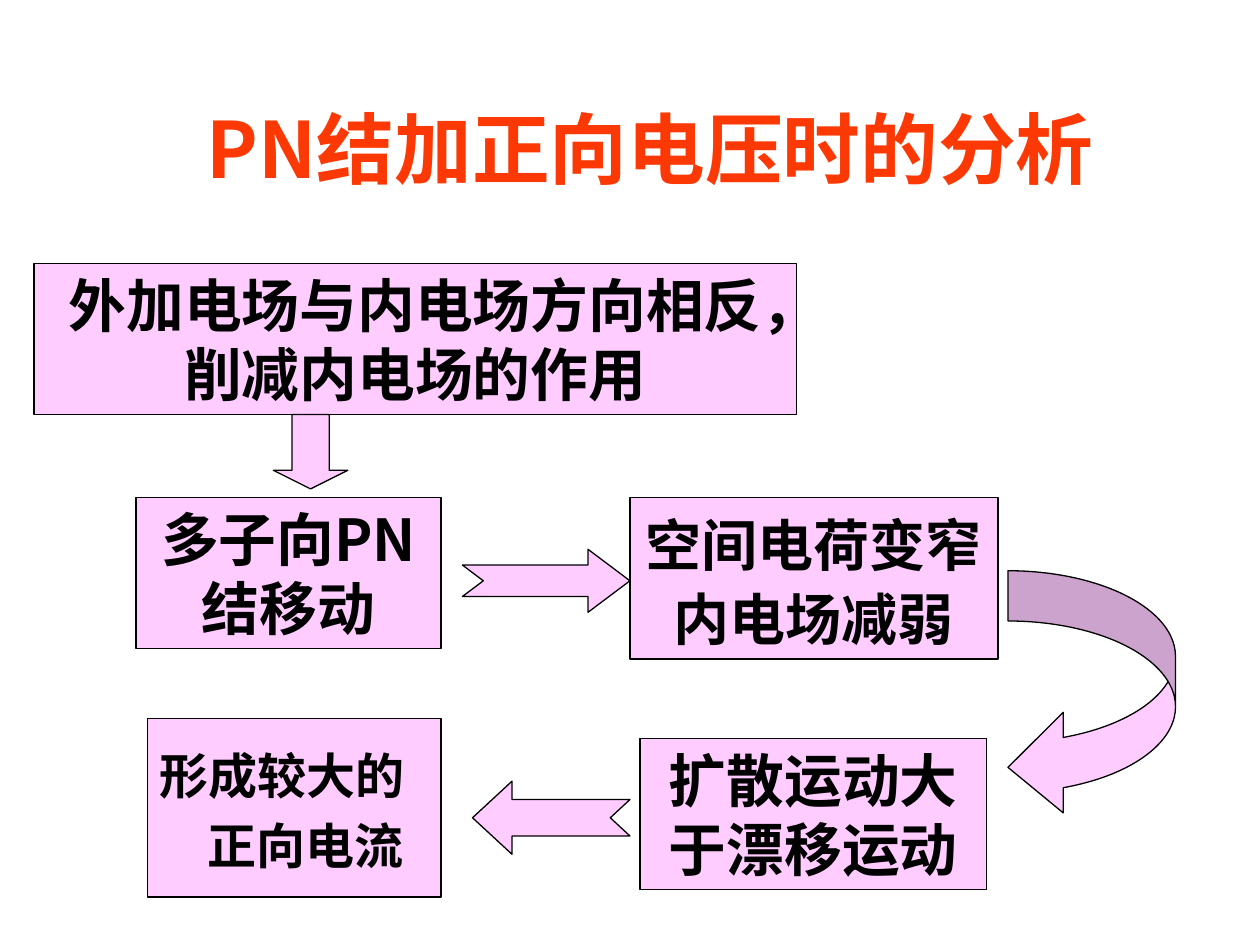
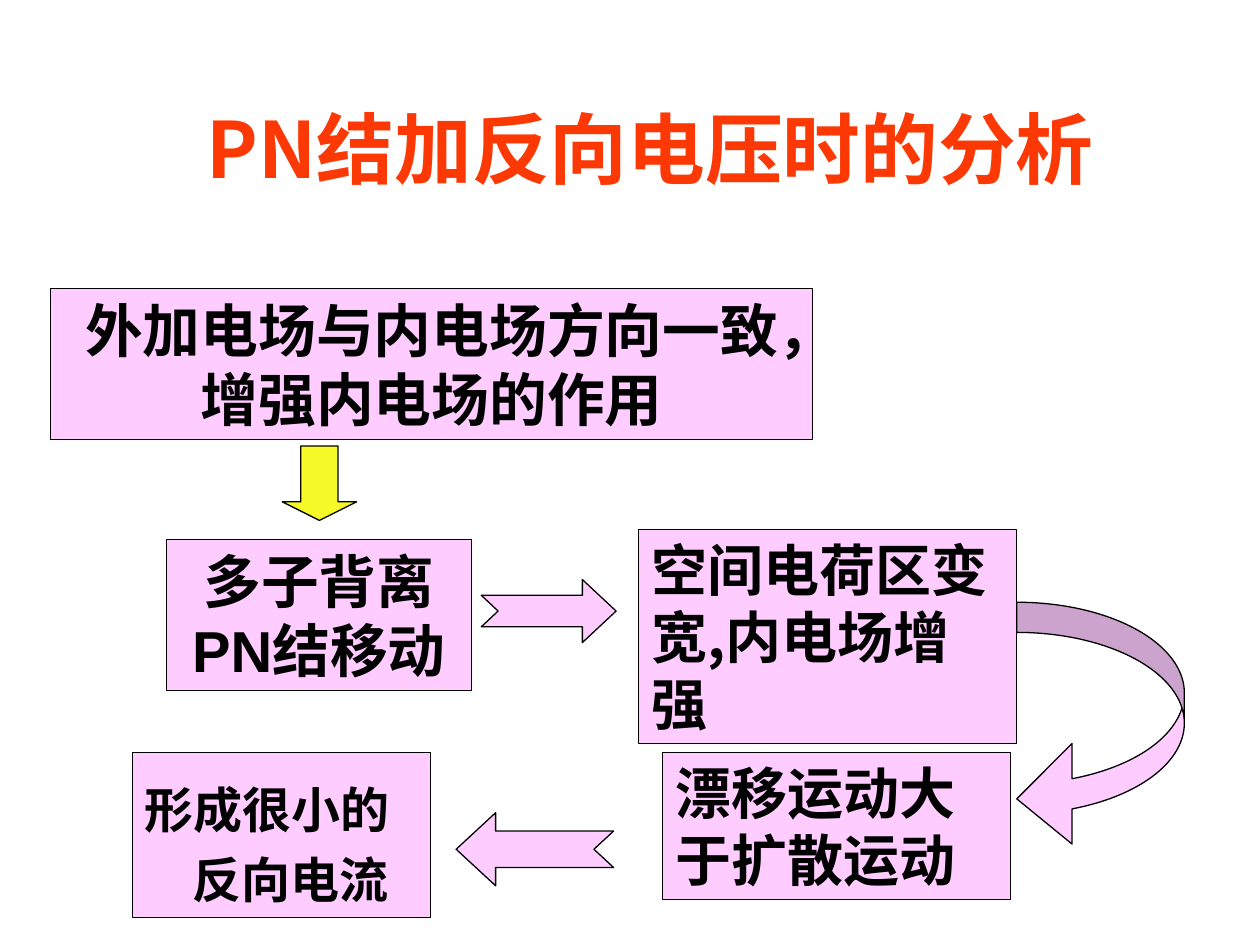
from dataclasses import dataclass

from lxml.etree import SubElement
from pptx import Presentation
from pptx.dml.color import RGBColor
from pptx.enum.shapes import MSO_SHAPE
from pptx.enum.text import MSO_ANCHOR, PP_ALIGN
from pptx.oxml.ns import qn
from pptx.util import Inches, Pt


@dataclass(frozen=True)
class Theme:
    pink: RGBColor = RGBColor(0xFF, 0xCC, 0xFF)
    yellow: RGBColor = RGBColor(0xF5, 0xFA, 0x28)
    ink: RGBColor = RGBColor(0, 0, 0)
    title: RGBColor = RGBColor(0xFC, 0x39, 0x04)
    latin: str = "Arial"
    chinese: str = "Noto Sans CJK SC"
    title_size: float = 44.4
    large: int = 33
    medium: int = 32
    small: int = 28
    line_width: float = 0.75
    line_pitch: float = 1.2  # line height as a multiple of the type size


THEME = Theme()


@dataclass(frozen=True)
class Box:
    left: float
    top: float
    width: float
    height: float

    def lengths(self):
        return [Inches(value) for value in (self.left, self.top, self.width, self.height)]


@dataclass(frozen=True)
class Step:
    text: str
    box: Box
    size: float = THEME.large
    font: str = THEME.latin
    align: PP_ALIGN = PP_ALIGN.CENTER
    spacing: float = 1.0
    hanging: float = 0
    inset_top: float = 0.05


@dataclass(frozen=True)
class Arrow:
    kind: MSO_SHAPE
    box: Box
    adjustments: tuple
    fill: RGBColor = THEME.pink
    rotation: int = 0


def write_text(frame, text, size, font, color, align, line_spacing, hanging=0):
    """Fill a text frame with one bold paragraph."""
    frame.word_wrap = True
    paragraph = frame.paragraphs[0]
    paragraph.alignment = align
    paragraph.line_spacing = line_spacing
    if hanging:
        properties = paragraph._p.get_or_add_pPr()
        properties.set("marL", str(Inches(hanging)))
        properties.set("indent", str(-Inches(hanging)))
    run = paragraph.add_run()
    run.text = text
    run.font.size = Pt(size)
    run.font.name = font
    run.font.bold = True
    run.font.color.rgb = color
    SubElement(run._r.get_or_add_rPr(), qn("a:ea"), typeface=THEME.chinese)


def add_outlined_shape(slide, kind, box, fill):
    shape = slide.shapes.add_shape(kind, *box.lengths())
    shape.shadow.inherit = False
    shape.fill.solid()
    shape.fill.fore_color.rgb = fill
    shape.line.color.rgb = THEME.ink
    shape.line.width = Pt(THEME.line_width)
    return shape


def add_title(slide, text, box):
    frame = slide.shapes.add_textbox(*box.lengths()).text_frame
    frame.vertical_anchor = MSO_ANCHOR.MIDDLE
    write_text(frame, text, THEME.title_size, THEME.chinese, THEME.title, PP_ALIGN.CENTER, 0.9)


def add_step(slide, step):
    frame = add_outlined_shape(slide, MSO_SHAPE.RECTANGLE, step.box, THEME.pink).text_frame
    frame.vertical_anchor = MSO_ANCHOR.TOP
    frame.margin_top = Inches(step.inset_top)
    pitch = Pt(step.size * THEME.line_pitch * step.spacing)
    write_text(frame, step.text, step.size, step.font, THEME.ink, step.align, pitch, step.hanging)


def add_arrow(slide, arrow):
    shape = add_outlined_shape(slide, arrow.kind, arrow.box, arrow.fill)
    shape.rotation = arrow.rotation
    for index, value in enumerate(arrow.adjustments):
        shape.adjustments[index] = value


# Arrows of the flow
def down_arrow(left, top, fill=THEME.pink):
    return Arrow(MSO_SHAPE.DOWN_ARROW, Box(left, top, 0.59, 0.59), (0.5, 0.25), fill)


def right_arrow(left, top, width):
    return Arrow(MSO_SHAPE.NOTCHED_RIGHT_ARROW, Box(left, top, width, 0.5), (0.5, width / 2))


def left_arrow(left, top):
    return Arrow(MSO_SHAPE.NOTCHED_RIGHT_ARROW, Box(left, top, 1.25, 0.58), (0.5, 0.54), rotation=180)


def turning_arrow(left, top, shaft):
    return Arrow(MSO_SHAPE.CURVED_LEFT_ARROW, Box(left, top, 1.33, 1.96), (shaft, 0.6, 0.33))


# Steps that both slides share
def field_step(text, left, top):
    return Step(text, Box(left, top, 6.05, 1.2), font=THEME.chinese)


def result_step(text, box):
    return Step(text, box, THEME.small, align=PP_ALIGN.LEFT, spacing=1.2, hanging=0.38,
                inset_top=0.12)


def add_flow_slide(presentation, title, steps, arrows):
    slide = presentation.slides.add_slide(presentation.slide_layouts[6])
    for step in steps:
        add_step(slide, step)
    for arrow in arrows:
        add_arrow(slide, arrow)
    add_title(slide, title, Box(0.66, 0.79, 9, 0.86))


def add_forward_slide(presentation):
    steps = [
        field_step("外加电场与内电场方向相反，削减内电场的作用", 0.27, 2.09),
        Step("多子向PN结移动", Box(1.08, 3.95, 2.42, 1.2), font=THEME.chinese),
        Step("空间电荷变窄内电场减弱", Box(5, 3.95, 2.92, 1.28), THEME.medium, spacing=1.1),
        Step("扩散运动大于漂移运动", Box(5.08, 5.86, 2.75, 1.2)),
        result_step("形成较大的正向电流", Box(1.17, 5.7, 2.33, 1.42)),
    ]
    arrows = [
        down_arrow(2.17, 3.29),
        right_arrow(3.67, 4.36, 1.33),
        turning_arrow(8, 4.53, 0.3),
        left_arrow(3.75, 6.2),
    ]
    add_flow_slide(presentation, "PN结加正向电压时的分析", steps, arrows)


def add_reverse_slide(presentation):
    left_aligned = {"size": THEME.medium, "font": THEME.chinese, "align": PP_ALIGN.LEFT}
    steps = [
        field_step("外加电场与内电场方向一致，增强内电场的作用", 0.4, 2.29),
        Step("多子背离PN结移动", Box(1.32, 4.28, 2.42, 1.2)),
        Step("空间电荷区变宽,内电场增强", Box(5.07, 4.2, 3, 1.7), **left_aligned),
        Step("漂移运动大于扩散运动", Box(5.26, 5.97, 2.76, 1.17), **left_aligned),
        result_step("形成很小的反向电流", Box(1.05, 5.97, 2.37, 1.31)),
    ]
    arrows = [
        down_arrow(2.24, 3.54, THEME.yellow),
        right_arrow(3.82, 4.6, 1.07),
        turning_arrow(8.07, 4.78, 0.18),
        left_arrow(3.62, 6.45),
    ]
    add_flow_slide(presentation, "PN结加反向电压时的分析", steps, arrows)


def main():
    presentation = Presentation()
    presentation.slide_width = Inches(10)
    presentation.slide_height = Inches(7.5)
    add_forward_slide(presentation)
    add_reverse_slide(presentation)
    presentation.save("out.pptx")


if __name__ == "__main__":
    main()
